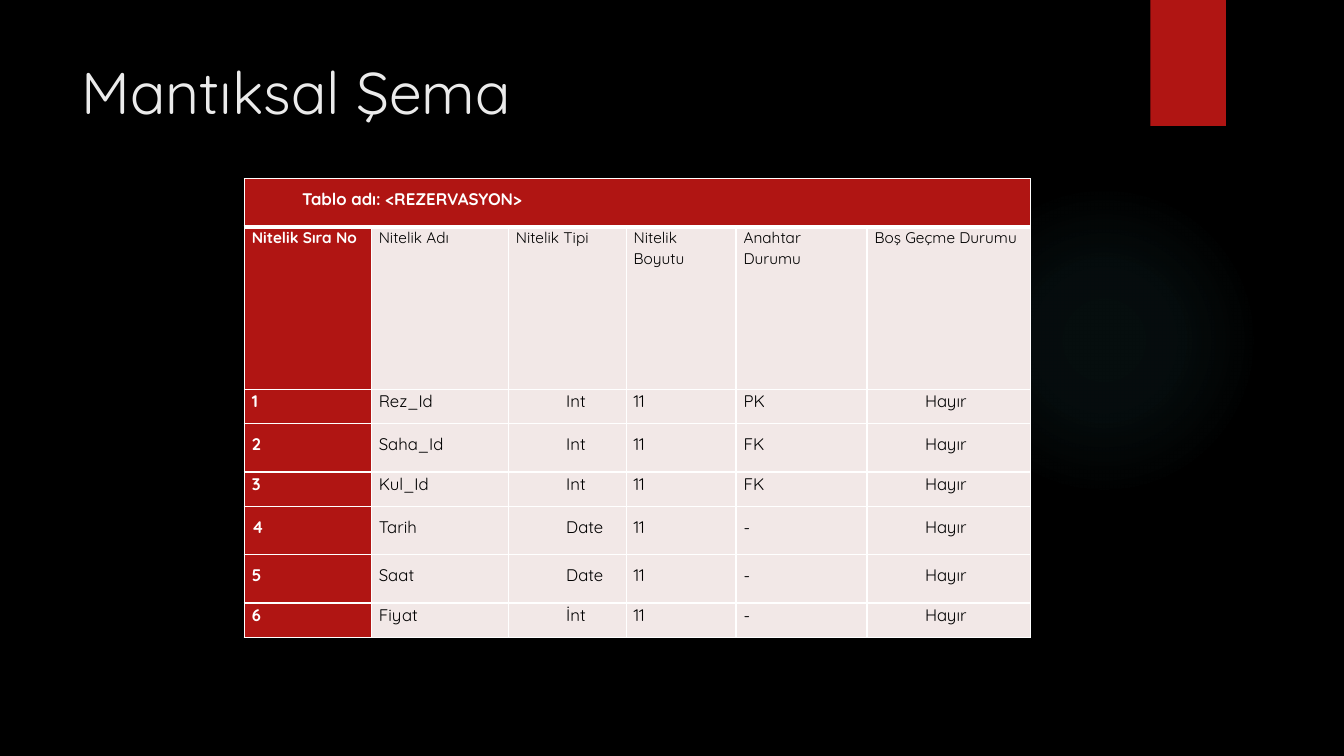
from dataclasses import dataclass

from lxml import etree
from pptx import Presentation
from pptx.dml.color import RGBColor
from pptx.enum.shapes import MSO_SHAPE
from pptx.enum.text import MSO_ANCHOR
from pptx.oxml import parse_xml
from pptx.slide import Slide
from pptx.table import _Cell
from pptx.text.text import _Paragraph
from pptx.util import Pt

OVAL = MSO_SHAPE.OVAL
RECT = MSO_SHAPE.RECTANGLE
TOP = MSO_ANCHOR.TOP

BLACK = RGBColor(0x00, 0x00, 0x00)
WHITE = RGBColor(0xFF, 0xFF, 0xFF)
PALE = RGBColor(0xEB, 0xEB, 0xEB)
RED = RGBColor(0xB0, 0x15, 0x13)
ROSE = RGBColor(0xF2, 0xE8, 0xE7)
TEAL = RGBColor(0x50, 0xB9, 0xC1)

FONT = "Quicksand"
NS = "http://schemas.openxmlformats.org/drawingml/2006/main"
INDENT = Pt(36)
TIGHT = 1.07
LOOSE = 1.5
WIDTHS = (90.7, 97.9, 84.2, 78.5, 93.6, 116.6)
INSET_COLS = (2, 5)


@dataclass(frozen=True)
class Row:
    height: float
    spacing: float
    texts: tuple[str, ...]


@dataclass(frozen=True)
class Style:
    size: float
    color: RGBColor
    bold: bool = False


HEADS = Row(115.9, TIGHT, ("Nitelik Sıra No", "Nitelik Adı", "Nitelik Tipi",
                           "Nitelik Boyutu", "Anahtar Durumu", "Boş Geçme Durumu"))


def field(number: int, name: str, kind: str, key: str, loose: bool) -> Row:
    height, spacing = (34.6, LOOSE) if loose else (24.5, TIGHT)
    return Row(height, spacing, (str(number), name, kind, "11", key, "Hayır"))


ROWS = (
    Row(34.6, LOOSE, ("Tablo adı: <REZERVASYON>",)),
    HEADS,
    field(1, "Rez_Id", "Int", "PK", False),
    field(2, "Saha_Id", "Int", "FK", True),
    field(3, "Kul_Id", "Int", "FK", False),
    field(4, "Tarih", "Date", "-", True),
    field(5, "Saat", "Date", "-", True),
    field(6, "Fiyat", "İnt", "-", False),
)


def write(para: _Paragraph, text: str, style: Style) -> None:
    para.text = text
    font = para.runs[0].font
    font.name = FONT
    font.size = Pt(style.size)
    font.bold = style.bold
    font.color.rgb = style.color


def edge(cell: _Cell, side: str, width: float) -> None:
    props = cell._tc.get_or_add_tcPr()
    line = etree.SubElement(props, f"{{{NS}}}ln{side}", w=str(Pt(width)))
    fill = etree.SubElement(line, f"{{{NS}}}solidFill")
    etree.SubElement(fill, f"{{{NS}}}srgbClr", val=str(WHITE))


def dress(cell: _Cell, top: float, bottom: float, color: RGBColor) -> None:
    for side, width in (("L", 1), ("R", 1), ("T", top), ("B", bottom)):
        edge(cell, side, width)
    cell.fill.solid()
    cell.fill.fore_color.rgb = color
    cell.margin_left = cell.margin_right = Pt(5.4)
    cell.margin_top = cell.margin_bottom = 0


def add_glow(slide: Slide) -> None:
    glow = slide.shapes.add_shape(OVAL, Pt(677.5), Pt(131.8), Pt(221.8), Pt(221.8))
    glow.shadow.inherit = False
    glow.line.fill.background()
    stops = "".join(
        f'<a:gs pos="{at * 1000}"><a:srgbClr val="{TEAL}">'
        f'<a:alpha val="{alpha * 1000}"/></a:srgbClr></a:gs>'
        for at, alpha in ((0, 7), (36, 6), (69, 0))
    )
    grad = parse_xml(
        f'<a:gradFill xmlns:a="{NS}"><a:gsLst>{stops}</a:gsLst><a:path path="circle">'
        '<a:fillToRect l="50000" t="50000" r="50000" b="50000"/></a:path></a:gradFill>'
    )
    glow._element.spPr.find(f"{{{NS}}}prstGeom").addnext(grad)


def add_tab(slide: Slide) -> None:
    tab = slide.shapes.add_shape(RECT, Pt(821.7), 0, Pt(54), Pt(90))
    tab.shadow.inherit = False
    tab.fill.solid()
    tab.fill.fore_color.rgb = RED
    tab.line.fill.background()


def add_title(slide: Slide, text: str) -> None:
    frame = slide.shapes.add_textbox(Pt(51.1), Pt(36), Pt(741), Pt(110)).text_frame
    frame.word_wrap = True
    frame.vertical_anchor = TOP
    write(frame.paragraphs[0], text, Style(42, PALE))


def add_grid(slide: Slide) -> None:
    table = slide.shapes.add_table(
        len(ROWS), len(WIDTHS), Pt(174.5), Pt(127.6),
        Pt(sum(WIDTHS)), Pt(sum(row.height for row in ROWS)),
    ).table
    for col, width in zip(table.columns, WIDTHS):
        col.width = Pt(width)
    for r, row in enumerate(ROWS):
        table.rows[r].height = Pt(row.height)
        for c in range(len(WIDTHS)):
            strong = r == 0 or c == 0
            dress(table.cell(r, c), 3 if r == 1 else 1, 3 if r == 0 else 1,
                  RED if strong else ROSE)
        for c, text in enumerate(row.texts):
            strong = r == 0 or c == 0
            para = table.cell(r, c).text_frame.paragraphs[0]
            size = 11 if row is HEADS else 12
            write(para, text, Style(size, WHITE if strong else BLACK, strong))
            para.line_spacing = row.spacing
            if r == 0 or (row is not HEADS and c in INSET_COLS):
                props = para._p.get_or_add_pPr()
                props.set("marL", str(INDENT))
                props.set("indent", "0")
    table.cell(0, 0).merge(table.cell(0, len(WIDTHS) - 1))


def main() -> None:
    deck = Presentation()
    deck.slide_width = Pt(960)
    deck.slide_height = Pt(540)
    slide = deck.slides.add_slide(deck.slide_layouts[6])
    slide.background.fill.solid()
    slide.background.fill.fore_color.rgb = BLACK
    add_glow(slide)
    add_tab(slide)
    add_title(slide, "Mantıksal Şema")
    add_grid(slide)
    deck.save("out.pptx")


if __name__ == "__main__":
    main()
